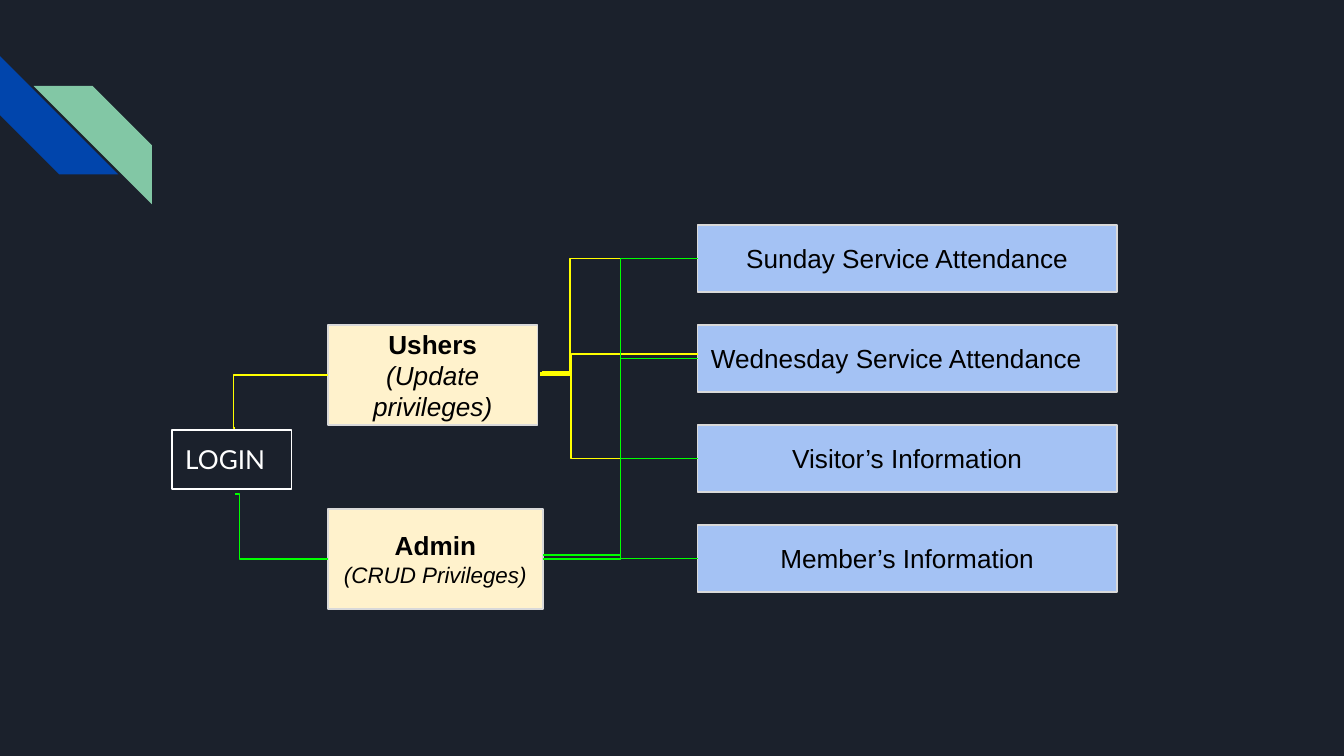
from typing import NamedTuple, Optional

from lxml import etree
from pptx import Presentation
from pptx import util as u
from pptx.dml.color import RGBColor
from pptx.enum import shapes, text
from pptx.oxml.ns import qn

NIGHT = RGBColor(0x1B, 0x21, 0x2C)
BLUE = RGBColor(0x01, 0x45, 0xAC)
MINT = RGBColor(0x82, 0xC7, 0xA5)
CREAM = RGBColor(0xFF, 0xF2, 0xCC)
SKY = RGBColor(0xA4, 0xC2, 0xF4)
GREY = RGBColor(0xD9, 0xD9, 0xD9)
YELLOW = RGBColor(0xFF, 0xFF, 0x00)
GREEN = RGBColor(0x00, 0xFF, 0x00)
WHITE = RGBColor(0xFF, 0xFF, 0xFF)
BLACK = RGBColor(0x00, 0x00, 0x00)

LEFT, CENTER = text.PP_ALIGN.LEFT, text.PP_ALIGN.CENTER

# Widescreen grid: ten columns across; row 0 starts at the first page box
WIDTH = u.Inches(10)
HEIGHT = WIDTH * 9 // 16
COLUMN = WIDTH / 10
ROW = HEIGHT / 7.56
ROW_ZERO = ROW * 2.25

ROLE_COL, PAGE_COL = 2.44, 5.19
PAGE_COLS, PAGE_ROWS = 3.12, 0.67
USHERS_MID, ADMIN_MID = 1.5, 3.34


class Line(NamedTuple):
    words: str
    size: int = 14
    bold: bool = False
    italic: bool = False


class Box(NamedTuple):
    col: float
    row: float
    cols: float
    rows: float
    lines: list[Line]
    fill: Optional[RGBColor]
    border: RGBColor = GREY
    ink: RGBColor = BLACK
    font: str = "Arial"
    align: text.PP_ALIGN = CENTER


class Wire(NamedTuple):
    start: tuple[float, float]
    end: tuple[float, float]
    color: RGBColor
    bend: float = 0.5


def x(col: float) -> int:
    return round(col * COLUMN)


def y(row: float) -> int:
    return round(ROW_ZERO + row * ROW)


def draw_stripe(slide, col: float, row: float, color: RGBColor):
    side = x(0.88)
    stripe = slide.shapes.add_shape(
        shapes.MSO_SHAPE.DIAGONAL_STRIPE, x(col), y(row), side, side)
    stripe.shadow.inherit = False
    stripe.fill.solid()
    stripe.fill.fore_color.rgb = color
    stripe.line.fill.background()
    return stripe


def draw_box(slide, box: Box) -> None:
    shape = slide.shapes.add_shape(
        shapes.MSO_SHAPE.RECTANGLE, x(box.col), y(box.row),
        x(box.cols), round(box.rows * ROW))
    shape.shadow.inherit = False
    if box.fill is None:
        shape.fill.background()
    else:
        shape.fill.solid()
        shape.fill.fore_color.rgb = box.fill
    shape.line.color.rgb = box.border
    shape.line.width = u.Pt(0.75)

    frame = shape.text_frame
    frame.word_wrap = True
    frame.vertical_anchor = text.MSO_ANCHOR.MIDDLE
    frame.margin_left = frame.margin_right = u.Inches(0.1)
    frame.margin_top = frame.margin_bottom = u.Inches(0.1)
    for number, line in enumerate(box.lines):
        paragraph = frame.add_paragraph() if number else frame.paragraphs[0]
        paragraph.alignment = box.align
        run = paragraph.add_run()
        run.text = line.words
        run.font.name = box.font
        run.font.size = u.Pt(line.size)
        run.font.bold = line.bold
        run.font.italic = line.italic
        run.font.color.rgb = box.ink


def draw_wire(slide, wire: Wire) -> None:
    (from_col, from_row), (to_col, to_row) = wire.start, wire.end
    elbow = slide.shapes.add_connector(
        shapes.MSO_CONNECTOR.ELBOW, x(from_col), y(from_row), x(to_col), y(to_row))
    elbow.line.color.rgb = wire.color
    elbow.line.width = u.Pt(0.75)
    properties = elbow._element.spPr
    etree.SubElement(properties, qn("a:effectLst"))
    # Place the bend as a share of the wire's width
    guides = properties.find(qn("a:prstGeom")).get_or_add_avLst()
    etree.SubElement(guides, qn("a:gd"), name="adj1",
                     fmla=f"val {round(wire.bend * 100000)}")


def page_mid(number: int) -> float:
    return number + PAGE_ROWS / 2


PAGES = [
    ("Sunday Service Attendance", CENTER),
    ("Wednesday Service Attendance", LEFT),
    ("Visitor’s Information", CENTER),
    ("Member’s Information", CENTER),
]

ROLES = [
    Box(ROLE_COL, USHERS_MID - 0.5, 1.56, 1,
        [Line("Ushers", bold=True), Line("(Update privileges)", italic=True)], CREAM),
    Box(ROLE_COL, ADMIN_MID - 0.5, 1.6, 1,
        [Line("Admin", bold=True), Line("(CRUD Privileges)", 12, italic=True)], CREAM),
]

LOGIN = Box(1.28, 2.05, 0.89, 0.59, [Line("LOGIN")], None, WHITE, WHITE, "Lato", LEFT)

WIRES = [
    # Ushers to their three pages
    Wire((4.02, USHERS_MID), (PAGE_COL, page_mid(0)), YELLOW, 0.19),
    Wire((4.02, 1.48), (PAGE_COL, 1.29), YELLOW, 0.2),
    Wire((4.03, 1.47), (PAGE_COL, page_mid(2)), YELLOW, 0.19),
    # Admin to every page
    *(Wire((4.04, ADMIN_MID), (PAGE_COL, page_mid(n)), GREEN) for n in range(3)),
    Wire((4.04, 3.3), (PAGE_COL, page_mid(3)), GREEN),
    # Login to both roles
    Wire((1.75, 2.03), (ROLE_COL, USHERS_MID), YELLOW, -0.02),
    Wire((1.75, 2.69), (ROLE_COL, ADMIN_MID), GREEN, 0.05),
]


def main() -> None:
    deck = Presentation()
    deck.slide_width, deck.slide_height = WIDTH, HEIGHT
    slide = deck.slides.add_slide(deck.slide_layouts[6])
    slide.background.fill.solid()
    slide.background.fill.fore_color.rgb = NIGHT

    # Corner ornament
    draw_stripe(slide, 0, -1.69, BLUE).rotation = 270
    mint_stripe = draw_stripe(slide, 0.25, -1.39, MINT)
    mint_stripe._element.spPr.find(qn("a:xfrm")).set("flipH", "1")

    # Roles, pages and login
    for role in ROLES:
        draw_box(slide, role)
    for number, (title, align) in enumerate(PAGES):
        draw_box(slide, Box(PAGE_COL, number, PAGE_COLS, PAGE_ROWS,
                            [Line(title)], SKY, align=align))
    draw_box(slide, LOGIN)

    for wire in WIRES:
        draw_wire(slide, wire)

    deck.save("out.pptx")


if __name__ == "__main__":
    main()
